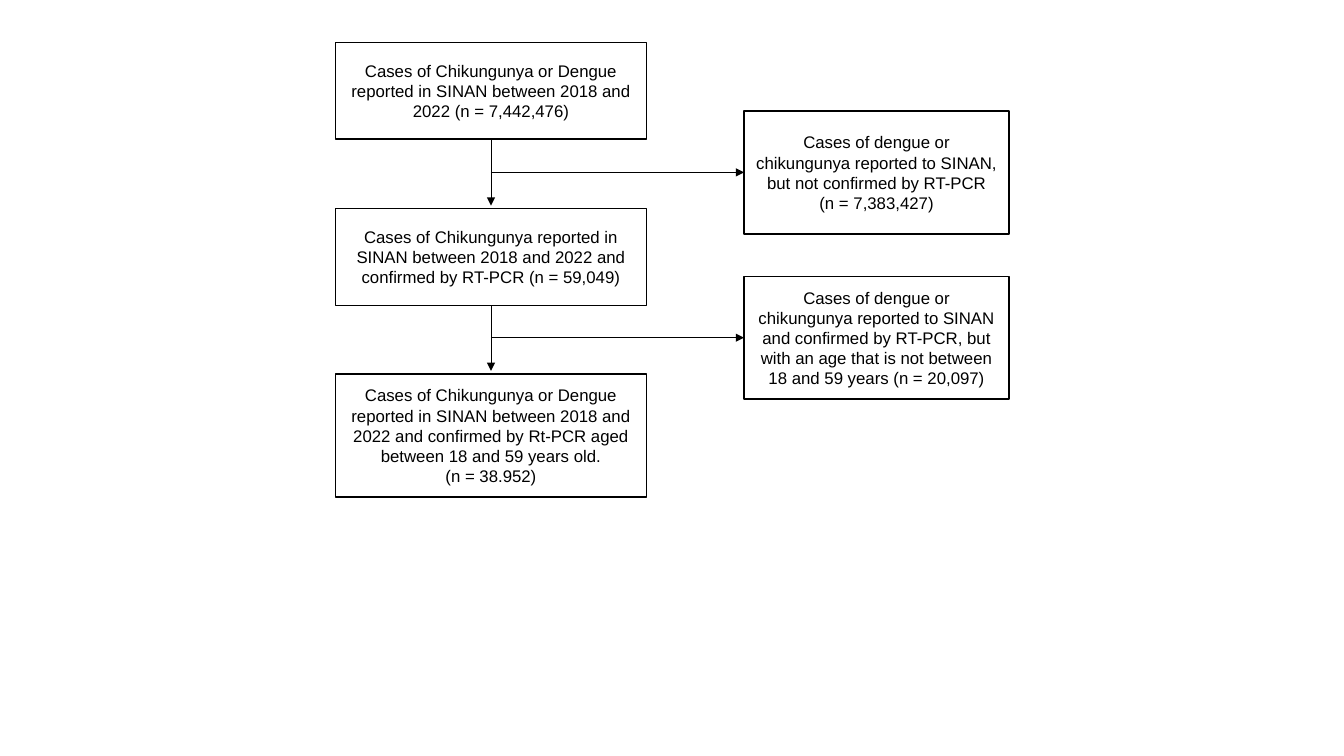
from pptx import Presentation
from pptx.dml.color import RGBColor
from pptx.enum import shapes, text
from pptx.oxml.ns import qn
from pptx.util import Inches, Pt
from lxml import etree

BLACK = RGBColor(0, 0, 0)
WHITE = RGBColor(255, 255, 255)

# Each step: top, height, paragraphs
COHORT_STEPS = [
    (0.42, 0.96, ["Cases of Chikungunya or Dengue reported in SINAN between 2018 "
                  "and 2022 (n = 7,442,476)"]),
    (2.07, 0.96, ["Cases of Chikungunya reported in SINAN between 2018 and 2022 "
                  "and confirmed by RT-PCR (n = 59,049)"]),
    (3.71, 1.22, ["Cases of Chikungunya or Dengue reported in SINAN between 2018 "
                  "and 2022 and confirmed by Rt-PCR aged between 18 and 59 years old.",
                  "(n = 38.952)"]),
]
EXCLUSIONS = [
    (1.10, 1.22, ["Cases of dengue or chikungunya reported to SINAN, but not "
                  "confirmed by RT-PCR", "(n = 7,383,427)"]),
    (2.74, 1.22, ["Cases of dengue or chikungunya reported to SINAN and confirmed "
                  "by RT-PCR, but with an age that is not between 18 and 59 years "
                  "(n = 20,097)"]),
]
ARROW_GAP = Inches(0.03)


def write_text(frame, paragraphs, size=12, font="Arial", color=BLACK,
               align=text.PP_ALIGN.CENTER):
    frame.word_wrap = True
    frame.vertical_anchor = text.MSO_ANCHOR.MIDDLE
    for index, wording in enumerate(paragraphs):
        paragraph = frame.paragraphs[0] if index == 0 else frame.add_paragraph()
        paragraph.alignment = align
        run = paragraph.add_run()
        run.text = wording
        run.font.size = Pt(size)
        run.font.name = font
        run.font.color.rgb = color


def add_box(slide, left, top, width, height, paragraphs):
    box = slide.shapes.add_shape(shapes.MSO_SHAPE.RECTANGLE, left, top, width, height)
    box.shadow.inherit = False
    box.fill.solid()
    box.fill.fore_color.rgb = WHITE
    box.line.color.rgb = BLACK
    box.line.width = Pt(1)
    write_text(box.text_frame, paragraphs)
    return box


def add_column(slide, left, width, entries):
    """Stack the boxes of one column and return them from top to bottom."""
    return [add_box(slide, Inches(left), Inches(top), Inches(width), Inches(height),
                    paragraphs)
            for top, height, paragraphs in entries]


def add_arrow(slide, x1, y1, x2, y2):
    arrow = slide.shapes.add_connector(shapes.MSO_CONNECTOR.STRAIGHT, x1, y1, x2, y2)
    arrow.line.color.rgb = BLACK
    arrow.line.width = Pt(0.5)
    etree.SubElement(arrow.line._get_or_add_ln(), qn("a:tailEnd"), type="triangle")
    etree.SubElement(arrow._element.spPr, qn("a:effectLst"))
    return arrow


def link_steps(slide, step, next_step, exclusion):
    """Draw the arrow down to the next step and its branch to the exclusion."""
    center = step.left + step.width // 2
    bottom = step.top + step.height
    down = add_arrow(slide, center, bottom, center, next_step.top - ARROW_GAP)
    down.begin_connect(step, 2)

    branch_y = exclusion.top + exclusion.height // 2
    branch = add_arrow(slide, center, branch_y, exclusion.left, branch_y)
    branch.end_connect(exclusion, 1)


def build_flowchart(slide):
    steps = add_column(slide, 3.33, 3.08, COHORT_STEPS)
    exclusions = add_column(slide, 7.38, 2.63, EXCLUSIONS)
    for step, next_step, exclusion in zip(steps, steps[1:], exclusions):
        link_steps(slide, step, next_step, exclusion)


def main():
    deck = Presentation()
    deck.slide_width = Inches(13.33)
    deck.slide_height = Inches(7.5)
    build_flowchart(deck.slides.add_slide(deck.slide_layouts[6]))
    deck.save("out.pptx")


if __name__ == "__main__":
    main()
